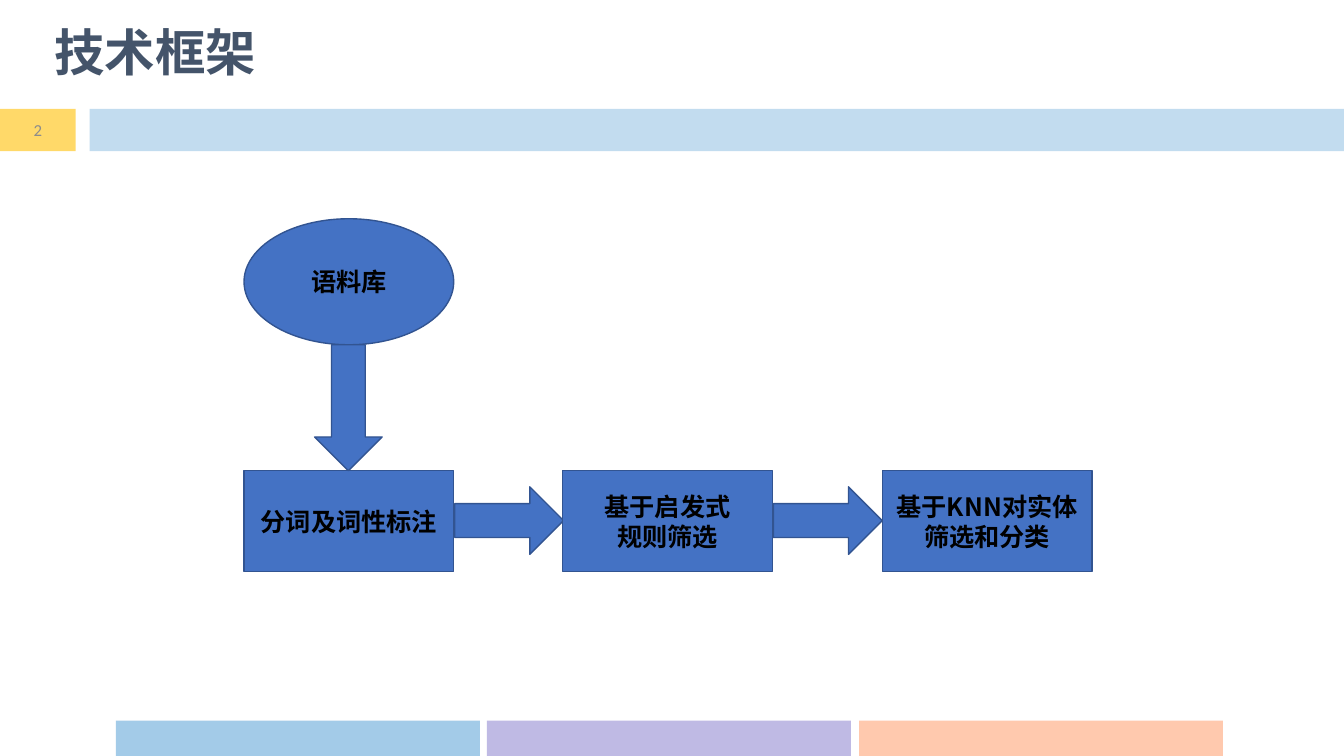
from dataclasses import dataclass

from lxml import etree
from pptx import Presentation
from pptx import util as u
from pptx.dml.color import RGBColor
from pptx.enum import shapes, text
from pptx.oxml.ns import qn

PX = 9144  # EMU in one px, 100 px to the inch
SHAPE = shapes.MSO_SHAPE


@dataclass(frozen=True)
class Theme:
    title: str = "44546A"
    label: str = "000000"
    number: str = "8C8C8C"
    blue: str = "0070C0"
    violet: str = "BFBAE4"
    orange: str = "FF9966"
    yellow: str = "FFC000"
    node: str = "4472C4"
    outline: str = "325491"
    title_font: str = "Times New Roman"
    label_font: str = "Noto Sans CJK SC"
    number_font: str = "Calibri"
    title_size: int = 36
    label_size: int = 18
    number_size: int = 12


class SlideBuilder:
    def __init__(self, slide, theme):
        self.slide = slide
        self.theme = theme

    def format_text(self, frame, content, font, size, color, bold, align):
        frame.text = content
        frame.word_wrap = True
        frame.vertical_anchor = text.MSO_ANCHOR.MIDDLE
        for para in frame.paragraphs:
            para.alignment = align
            for span in para.runs:
                span.font.name = font
                span.font.size = u.Pt(size)
                span.font.bold = bold
                span.font.color.rgb = RGBColor.from_string(color)
                east_asian = etree.Element(qn("a:ea"), typeface=self.theme.label_font)
                span.font._element.find(qn("a:latin")).addnext(east_asian)

    def title(self, content, left, top, width, height):
        box = self.slide.shapes.title
        box.left, box.top, box.width, box.height = (
            n * PX for n in (left, top, width, height))
        style = self.theme
        self.format_text(box.text_frame, content, style.title_font, style.title_size,
                         style.title, True, text.PP_ALIGN.LEFT)
        box.text_frame.auto_size = text.MSO_AUTO_SIZE.NONE
        box.text_frame.paragraphs[0].line_spacing = 0.9

    def shape(self, kind, left, top, width, height, color):
        box = self.slide.shapes.add_shape(
            kind, *(n * PX for n in (left, top, width, height)))
        box.shadow.inherit = False
        box.fill.solid()
        box.fill.fore_color.rgb = RGBColor.from_string(color)
        box.line.fill.background()
        return box

    def band(self, left, top, width, height, color, opacity=100):
        box = self.shape(SHAPE.RECTANGLE, left, top, width, height, color)
        if opacity < 100:
            tint = box.fill._xPr.find(qn("a:solidFill"))[0]
            etree.SubElement(tint, qn("a:alpha"), val=str(opacity * 1000))
        return box

    def number_band(self, content, left, top, width, height, opacity):
        style = self.theme
        box = self.band(left, top, width, height, style.yellow, opacity)
        self.format_text(box.text_frame, content, style.number_font, style.number_size,
                         style.number, False, text.PP_ALIGN.CENTER)

    def outlined(self, kind, left, top, width, height):
        box = self.shape(kind, left, top, width, height, self.theme.node)
        box.line.color.rgb = RGBColor.from_string(self.theme.outline)
        box.line.width = u.Pt(1)
        return box

    def node(self, kind, content, left, top, width, height):
        style = self.theme
        box = self.outlined(kind, left, top, width, height)
        self.format_text(box.text_frame, content, style.label_font, style.label_size,
                         style.label, True, text.PP_ALIGN.CENTER)

    def arrow(self, left, top, width, height, rotation=0):
        self.outlined(SHAPE.RIGHT_ARROW, left, top, width, height).rotation = rotation


def main():
    deck = Presentation()
    deck.slide_width, deck.slide_height = 1333 * PX, 750 * PX
    theme = Theme()
    page = SlideBuilder(deck.slides.add_slide(deck.slide_layouts[5]), theme)

    footer = [(theme.blue, 36), (theme.violet, 100), (theme.orange, 53)]
    for i, (color, opacity) in enumerate(footer):
        page.band(115 + 737 * i // 2, 715, 361, 35, color, opacity)
    page.band(89, 108, 1244, 42, theme.blue, 24)
    page.number_band("2", 0, 108, 75, 42, 59)
    page.title("技术框架", 44, -8, 1252, 125)

    steps = ["分词及词性标注", "基于启发式\n规则筛选", "基于KNN对实体筛选和分类"]
    for i, step in enumerate(steps):
        left = 242 + 633 * i // 2
        page.node(SHAPE.RECTANGLE, step, left, 467, 208, 100)
        if i < len(steps) - 1:
            page.arrow(left + 209, 483, 108, 67)
    page.node(SHAPE.OVAL, "语料库", 242, 217, 208, 125)
    page.arrow(283, 371, 125, 67, rotation=90)

    deck.save("out.pptx")


if __name__ == "__main__":
    main()
